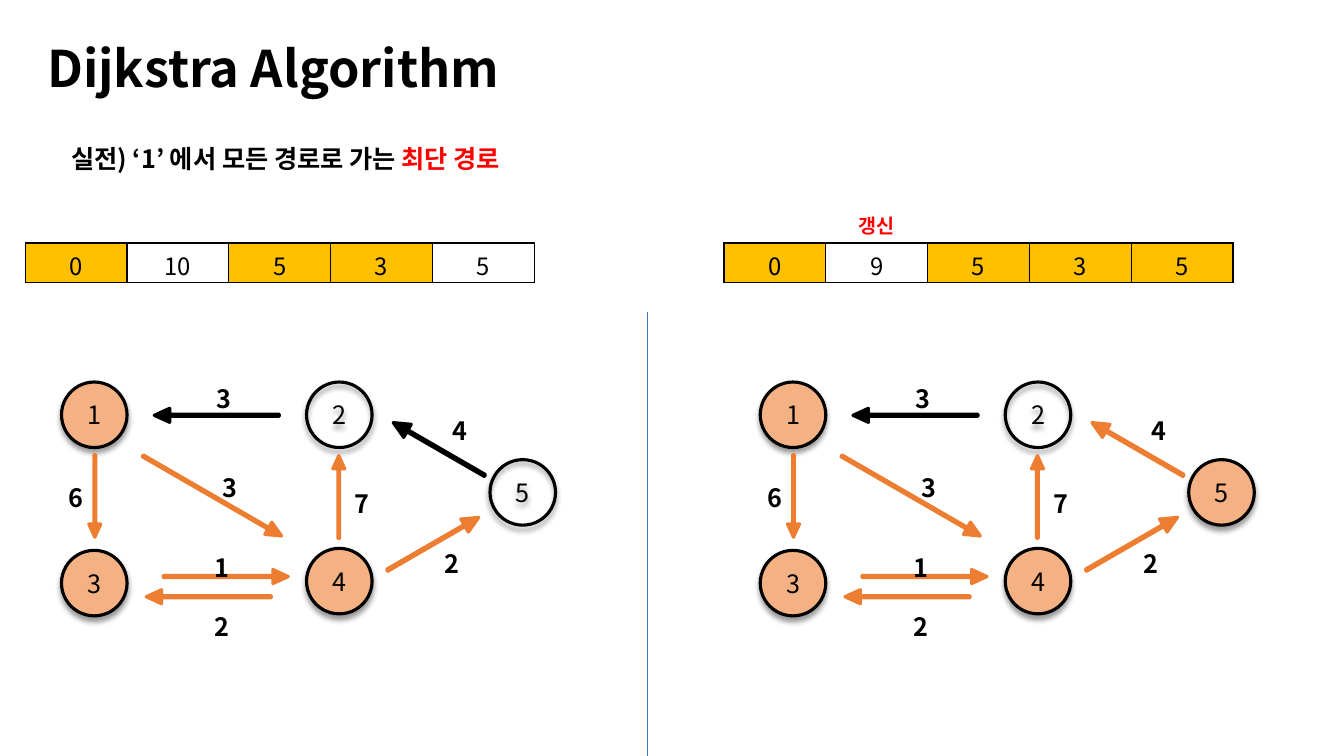
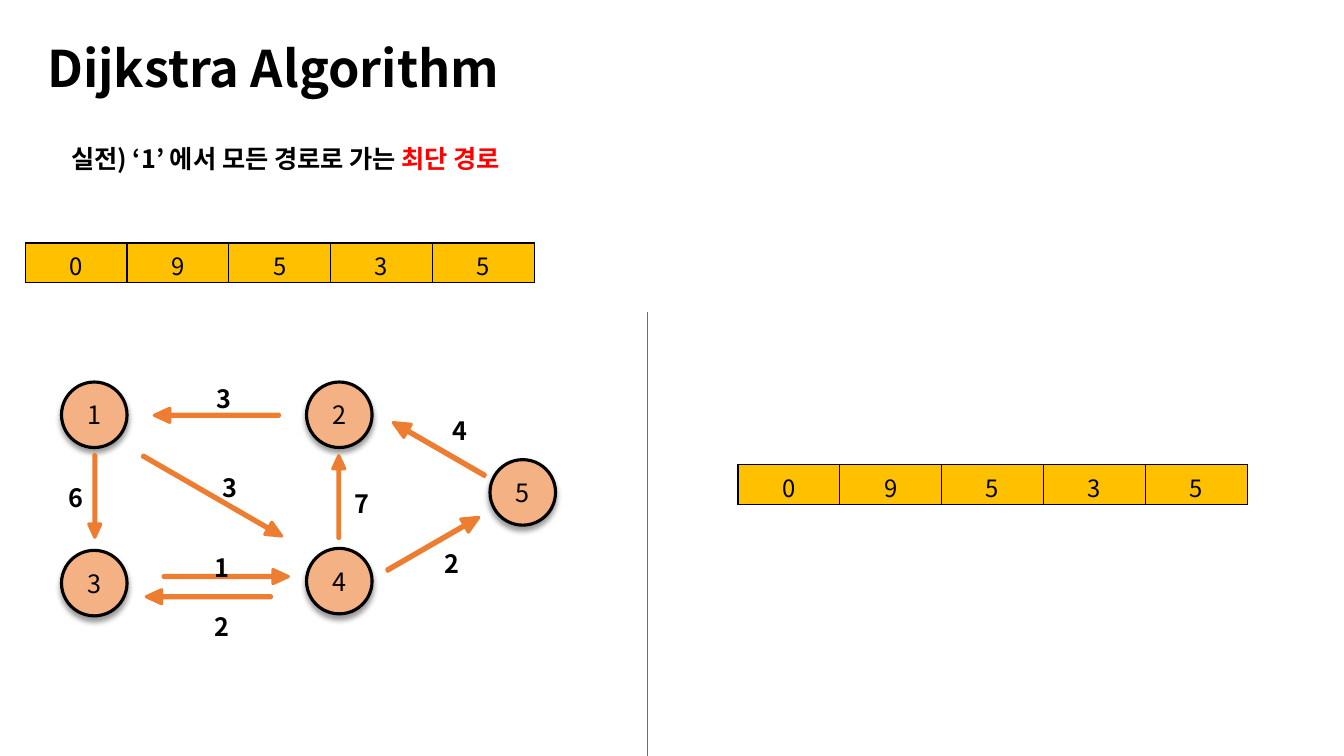
from typing import NamedTuple

from lxml import etree
from pptx import Presentation
from pptx.dml.color import RGBColor
from pptx.enum.shapes import MSO_CONNECTOR, MSO_SHAPE
from pptx.enum.text import MSO_ANCHOR, MSO_AUTO_SIZE, PP_ALIGN
from pptx.oxml.ns import qn
from pptx.util import Emu, Pt

CENTER, LEFT = PP_ALIGN.CENTER, PP_ALIGN.LEFT
TOP, MIDDLE, BOTTOM = MSO_ANCHOR.TOP, MSO_ANCHOR.MIDDLE, MSO_ANCHOR.BOTTOM
ELLIPSE, ARROW = MSO_SHAPE.OVAL, MSO_SHAPE.RIGHT_ARROW
NO_AUTOFIT = MSO_AUTO_SIZE.NONE
STRAIGHT = MSO_CONNECTOR.STRAIGHT

EMU_PER_PX = 9144
PAGE_WIDTH, PAGE_HEIGHT = 1333, 750
FONT = "Noto Sans CJK KR"
BLACK, WHITE, RED = "000000", "FFFFFF", "FF0000"
ORANGE, PEACH, AMBER, BLUE = "ED7D31", "F4B183", "FFC000", "4472C4"

TITLE = {"size": Pt(36), "bold": True}
HEADING = {"size": Pt(18), "bold": True}
NODE_TEXT = {"size": Pt(18), "bold": False}
CELL_TEXT = {"size": Pt(17), "bold": False}
NOTE = {"size": Pt(14), "bold": True}

PANEL_STEP = 693
TABLE_AT = (25, 241)
GRAPH_AT = (61, 379)
CELL_WIDTH, CELL_HEIGHT = 101, 39
NODE_SIZE = 65
LABEL_SIZE = (35, 40)
NODES = {1: (0, 0), 2: (243, 0), 3: (0, 167), 4: (243, 165), 5: (425, 77)}


class Edge(NamedTuple):
    source: int
    weight: int
    arrow: tuple
    angle: int
    label: tuple


EDGES = [
    Edge(2, 3, (92, 26, 124, 14), 180, (144, -4)),
    Edge(1, 6, (-8, 107, 82, 12), 90, (-3, 95)),
    Edge(4, 7, (234, 108, 82, 12), 270, (281, 101)),
    Edge(4, 2, (316, 153, 105, 15), 330, (370, 160)),
    Edge(3, 1, (101, 186, 124, 14), 0, (142, 164)),
    Edge(4, 2, (84, 206, 124, 14), 180, (142, 223)),
    Edge(5, 4, (322, 59, 105, 15), 210, (378, 28)),
    Edge(1, 3, (70, 106, 159, 14), 30, (150, 85)),
]


def px(*lengths):
    return [Emu(length * EMU_PER_PX) for length in lengths]


def rgb(value):
    return RGBColor.from_string(value)


def add_xml(parent, tag, **attributes):
    return etree.SubElement(parent, qn(tag), attributes)


def write(frame, spans, text_format, align=LEFT, spacing=None):
    """Fill the first paragraph with (text, colour) spans."""
    para = frame.paragraphs[0]
    para.alignment = align
    if spacing:
        para.line_spacing = spacing
    for text, colour in spans:
        span = para.add_run()
        span.text = text
        span.font.name = FONT
        span.font.color.rgb = rgb(colour)
        for name, value in text_format.items():
            setattr(span.font, name, value)
        add_xml(span.font._element, "a:ea", typeface=FONT)


def add_text(shapes, box, spans, text_format, wrap=True, anchor=TOP, **paragraph):
    frame = shapes.add_textbox(*px(*box)).text_frame
    settings = {"word_wrap": wrap, "auto_size": NO_AUTOFIT, "vertical_anchor": anchor}
    for name, value in settings.items():
        setattr(frame, name, value)
    write(frame, spans, text_format, **paragraph)


def add_outlined(shapes, kind, box, fill, line):
    shape = shapes.add_shape(kind, *px(*box))
    shape.shadow.inherit = False
    if fill:
        shape.fill.solid()
        shape.fill.fore_color.rgb = rgb(fill)
    else:
        shape.fill.background()
    shape.line.color.rgb = rgb(line)
    shape.line.width = Pt(2.25)
    return shape


def add_node(shapes, left, top, number, visited):
    box = (left, top, NODE_SIZE, NODE_SIZE)
    node = add_outlined(shapes, ELLIPSE, box, PEACH if visited else None, BLACK)
    effects = node._element.spPr.find(qn("a:effectLst"))
    shadow = add_xml(effects, "a:outerShdw", blurRad=str(Pt(4)), dist=str(Pt(3)),
                     dir="5400000", algn="t", rotWithShape="0")
    add_xml(add_xml(shadow, "a:srgbClr", val=BLACK), "a:alpha", val="40000")
    node.text_frame.vertical_anchor = MIDDLE
    write(node.text_frame, [(str(number), BLACK)], NODE_TEXT, align=CENTER)


def add_edge(shapes, left, top, edge, visited):
    x, y, width, height = edge.arrow
    colour = ORANGE if visited else BLACK
    box = (left + x, top + y, width, height)
    arrow = add_outlined(shapes, ARROW, box, colour, colour)
    arrow.rotation = edge.angle
    arrow.adjustments[0], arrow.adjustments[1] = 0.15, 1.09
    x, y = edge.label
    add_text(shapes, (left + x, top + y, *LABEL_SIZE),
             [(str(edge.weight), BLACK)], HEADING, wrap=False)


def add_graph(page, left, top, visited):
    """Draw the graph; edges leaving a visited node are highlighted."""
    shapes = page.shapes.add_group_shape().shapes
    for number, (x, y) in NODES.items():
        add_node(shapes, left + x, top + y, number, number in visited)
    for edge in EDGES:
        add_edge(shapes, left, top, edge, edge.source in visited)


def add_cell_borders(cell):
    properties = cell._tc.get_or_add_tcPr()
    for index, side in enumerate(("a:lnL", "a:lnR", "a:lnT", "a:lnB")):
        border = etree.Element(qn(side), w=str(Pt(1)))
        add_xml(add_xml(border, "a:solidFill"), "a:srgbClr", val=BLACK)
        properties.insert(index, border)


def add_distances(page, left, top, distances, visited):
    """Draw the distance row, with the cells of visited nodes in amber."""
    box = (left, top, CELL_WIDTH * len(distances), CELL_HEIGHT)
    table = page.shapes.add_table(1, len(distances), *px(*box)).table
    table.first_row = table.horz_banding = False
    for index, distance in enumerate(distances):
        table.columns[index].width = px(CELL_WIDTH)[0]
        cell = table.cell(0, index)
        cell.margin_bottom = 0
        cell.fill.solid()
        cell.fill.fore_color.rgb = rgb(AMBER if index + 1 in visited else WHITE)
        add_cell_borders(cell)
        write(cell.text_frame, [(str(distance), BLACK)], CELL_TEXT, align=CENTER)


def add_panel(page, left, distances, visited):
    add_distances(page, left + TABLE_AT[0], TABLE_AT[1], distances, visited)
    add_graph(page, left + GRAPH_AT[0], GRAPH_AT[1], visited)


def add_page(deck):
    """Add a slide with the shared title, question and divider."""
    page = deck.slides.add_slide(deck.slide_layouts[6])
    add_text(page.shapes, (0, 46, 542, 57), [("Dijkstra Algorithm", BLACK)], TITLE,
             anchor=BOTTOM, align=CENTER, spacing=0.9)
    question = [("실전) ‘1’ 에서 모든 경로로 가는 ", BLACK), ("최단 경로", RED)]
    add_text(page.shapes, (61, 137, 774, 71), question, HEADING)
    divider = page.shapes.add_connector(STRAIGHT, *px(642, 310, 642, PAGE_HEIGHT))
    divider.line.color.rgb = rgb(BLUE)
    divider.line.width = Pt(0.5)
    add_xml(divider._element.spPr, "a:effectLst")
    return page


def add_update_slide(deck):
    page = add_page(deck)
    add_panel(page, 0, [0, 10, 5, 3, 5], {1, 3, 4})
    add_panel(page, PANEL_STEP, [0, 9, 5, 3, 5], {1, 3, 4, 5})
    add_text(page.shapes, (842, 207, 65, 34), [("갱신", RED)], NOTE)


def add_result_slide(deck):
    page = add_page(deck)
    distances, visited = [0, 9, 5, 3, 5], set(NODES)
    add_panel(page, 0, distances, visited)
    add_distances(page, 732, 461, distances, visited)


def main():
    deck = Presentation()
    deck.slide_width, deck.slide_height = px(PAGE_WIDTH, PAGE_HEIGHT)
    add_update_slide(deck)
    add_result_slide(deck)
    deck.save("out.pptx")


if __name__ == "__main__":
    main()
